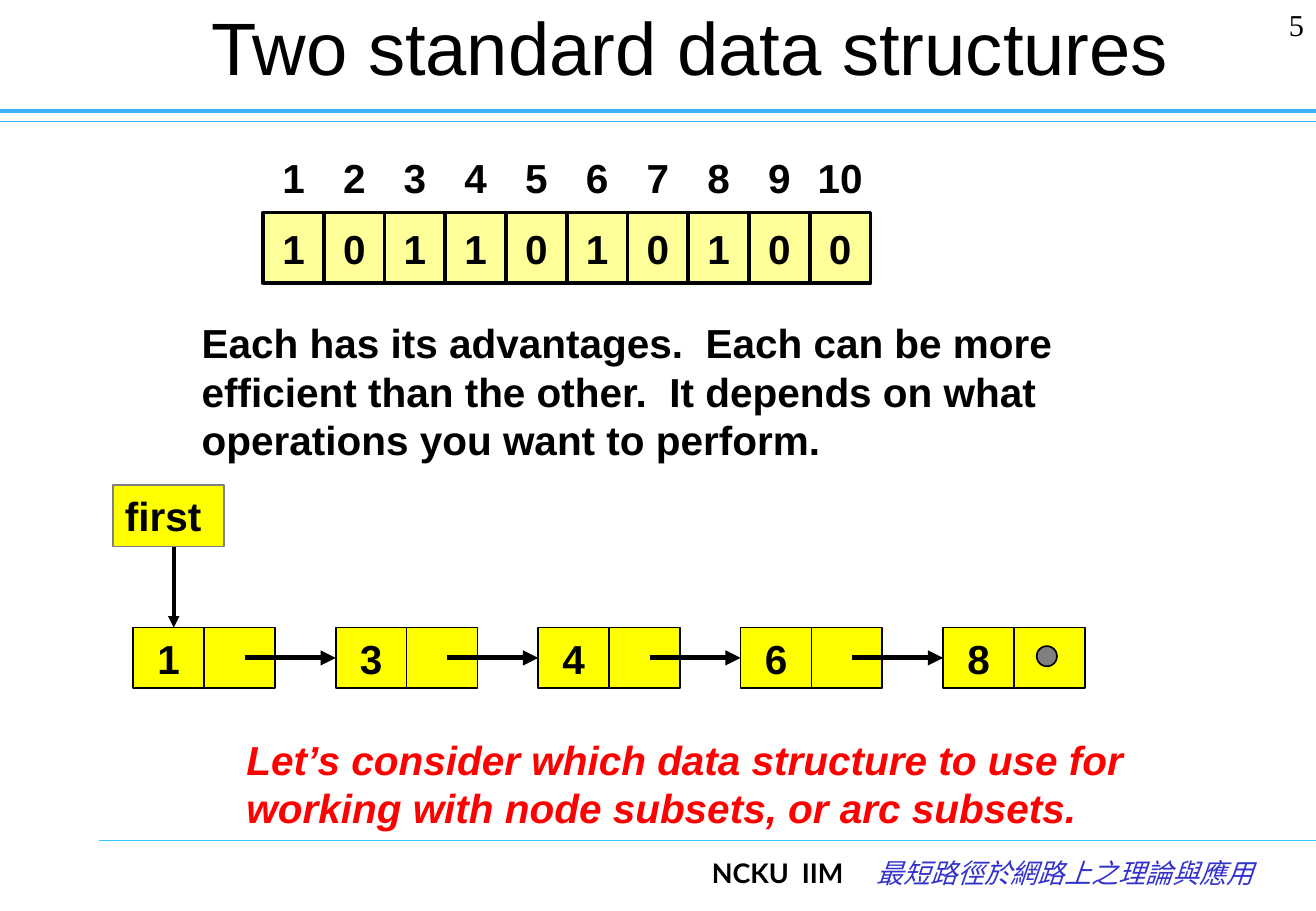
from dataclasses import dataclass, replace
from typing import Optional

from lxml import etree
from pptx import Presentation
from pptx.dml.color import RGBColor
from pptx.enum import shapes, text
from pptx.oxml import ns
from pptx.util import Pt


@dataclass(frozen=True)
class Theme:
    black: str = "000000"
    red: str = "FF0000"
    footer_blue: str = "3333CC"
    header_rule: str = "3DB0FF"
    footer_rule: str = "33CCFF"
    array_fill: str = "FFFF99"
    node_fill: str = "FFFF00"
    gray: str = "808080"
    title_size: float = 44
    body_size: float = 24
    number_size: float = 18
    footer_size: float = 16


THEME = Theme()


@dataclass(frozen=True)
class TextStyle:
    size: float = THEME.body_size
    color: str = THEME.black
    font: str = "Arial"
    bold: bool = True
    italic: bool = False
    align: text.PP_ALIGN = text.PP_ALIGN.LEFT
    anchor: text.MSO_ANCHOR = text.MSO_ANCHOR.TOP
    inset: float = 7.2


@dataclass(frozen=True)
class Box:
    left: float
    top: float
    width: float
    height: float

    def lengths(self) -> tuple:
        return Pt(self.left), Pt(self.top), Pt(self.width), Pt(self.height)


@dataclass(frozen=True)
class Label:
    box: Box
    words: str
    style: TextStyle


@dataclass(frozen=True)
class Line:
    x1: float
    y1: float
    x2: float
    y2: float
    color: str
    width: float
    arrow: bool = False


BODY = TextStyle()
CELL = TextStyle(align=text.PP_ALIGN.CENTER, anchor=text.MSO_ANCHOR.MIDDLE, inset=0)
TITLE = replace(CELL, size=THEME.title_size, bold=False)
NUMBER = TextStyle(THEME.number_size, font="Times New Roman", bold=False,
                   align=text.PP_ALIGN.RIGHT)
FOOTER = TextStyle(THEME.footer_size, font="Lato", align=text.PP_ALIGN.RIGHT)
COURSE = replace(FOOTER, color=THEME.footer_blue, font="Noto Sans Mono",
                 bold=False, italic=True)


def write(shape, words: str, style: TextStyle) -> None:
    frame = shape.text_frame
    frame.text = words
    frame.word_wrap = True
    frame.vertical_anchor = style.anchor
    frame.margin_left = frame.margin_right = Pt(style.inset)
    paragraph = frame.paragraphs[0]
    paragraph.alignment = style.align
    for run in paragraph.runs:
        font = run.font
        font.name, font.size = style.font, Pt(style.size)
        font.bold, font.italic = style.bold, style.italic
        font.color.rgb = RGBColor.from_string(style.color)


def add_label(slide, label: Label) -> None:
    write(slide.shapes.add_textbox(*label.box.lengths()), label.words, label.style)


def add_block(slide, box: Box, fill: str, line_width: float = 1,
              line_color: str = THEME.black, words: Optional[str] = None,
              style: TextStyle = CELL,
              kind: shapes.MSO_SHAPE = shapes.MSO_SHAPE.RECTANGLE) -> None:
    shape = slide.shapes.add_shape(kind, *box.lengths())
    shape.shadow.inherit = False
    shape.fill.solid()
    shape.fill.fore_color.rgb = RGBColor.from_string(fill)
    shape.line.color.rgb = RGBColor.from_string(line_color)
    shape.line.width = Pt(line_width)
    if words:
        write(shape, words, style)


def add_line(slide, line: Line) -> None:
    connector = slide.shapes.add_connector(
        shapes.MSO_CONNECTOR.STRAIGHT,
        Pt(line.x1), Pt(line.y1), Pt(line.x2), Pt(line.y2))
    connector.line.color.rgb = RGBColor.from_string(line.color)
    connector.line.width = Pt(line.width)
    if line.arrow:
        outline = connector.line._get_or_add_ln()
        etree.SubElement(outline, ns.qn("a:tailEnd"), type="triangle")
    etree.SubElement(connector._element.spPr, ns.qn("a:effectLst"))


RULES = [
    Line(0, 72, 780, 72, THEME.header_rule, 0.75),
    Line(0, 66, 780, 66, THEME.header_rule, 2.5),
    Line(58.5, 498, 780, 498, THEME.footer_rule, 0.75),
]
LABELS = [
    Label(Box(400, 504, 107, 36), "NCKU  IIM", FOOTER),
    Label(Box(500, 504, 250, 36), "最短路徑於網路上之理論與應用", COURSE),
    Label(Box(715, 0, 65, 36), "5", NUMBER),
    Label(Box(103.5, 0, 611.5, 54), "Two standard data structures", TITLE),
    Label(Box(112.5, 185, 546, 94.5),
          "Each has its advantages.  Each can be more efficient than the other.  "
          "It depends on what operations you want to perform.", BODY),
    Label(Box(139, 432, 570, 65.5),
          "Let’s consider which data structure to use for working with node "
          "subsets, or arc subsets.", replace(BODY, color=THEME.red, italic=True)),
]


def add_bit_array(slide, bits: str) -> None:
    left, top, width, height = 156, 126, 36, 42
    for index, bit in enumerate(bits):
        x = left + index * width
        add_block(slide, Box(x, top, width, height), THEME.array_fill, 2.25, words=bit)
        add_label(slide, Label(Box(x, top - height, width, height), str(index + 1), CELL))


def add_linked_list(slide, values: list[int]) -> None:
    left, top, width, height, step = 79, 372, 42, 36, 120
    middle = top + height / 2
    for index, value in enumerate(values):
        x = left + index * step
        add_block(slide, Box(x, top, width, height), THEME.node_fill, words=str(value))
        add_block(slide, Box(x + width, top, width, height), THEME.node_fill)
        if index < len(values) - 1:
            add_line(slide, Line(x + 66, middle, x + step, middle, THEME.black, 3, True))
        else:
            # Dot that ends the list
            add_block(slide, Box(x + 535 - 480 + 0.5, middle - 7, 12, 12), THEME.gray,
                      kind=shapes.MSO_SHAPE.OVAL)
    # Pointer to the first node
    add_block(slide, Box(67, 287.5, 66, 36.5), THEME.node_fill,
              line_color=THEME.gray, words="first", style=BODY)
    add_line(slide, Line(103, 324, 103, top, THEME.black, 2.25, True))


def main() -> None:
    presentation = Presentation()
    presentation.slide_width, presentation.slide_height = Pt(780), Pt(540)
    slide = presentation.slides.add_slide(presentation.slide_layouts[6])

    # Rules, title, sentences and footer
    for rule in RULES:
        add_line(slide, rule)
    for label in LABELS:
        add_label(slide, label)

    # The two data structures
    add_bit_array(slide, "1011010100")
    add_linked_list(slide, [1, 3, 4, 6, 8])

    presentation.save("out.pptx")


if __name__ == "__main__":
    main()
